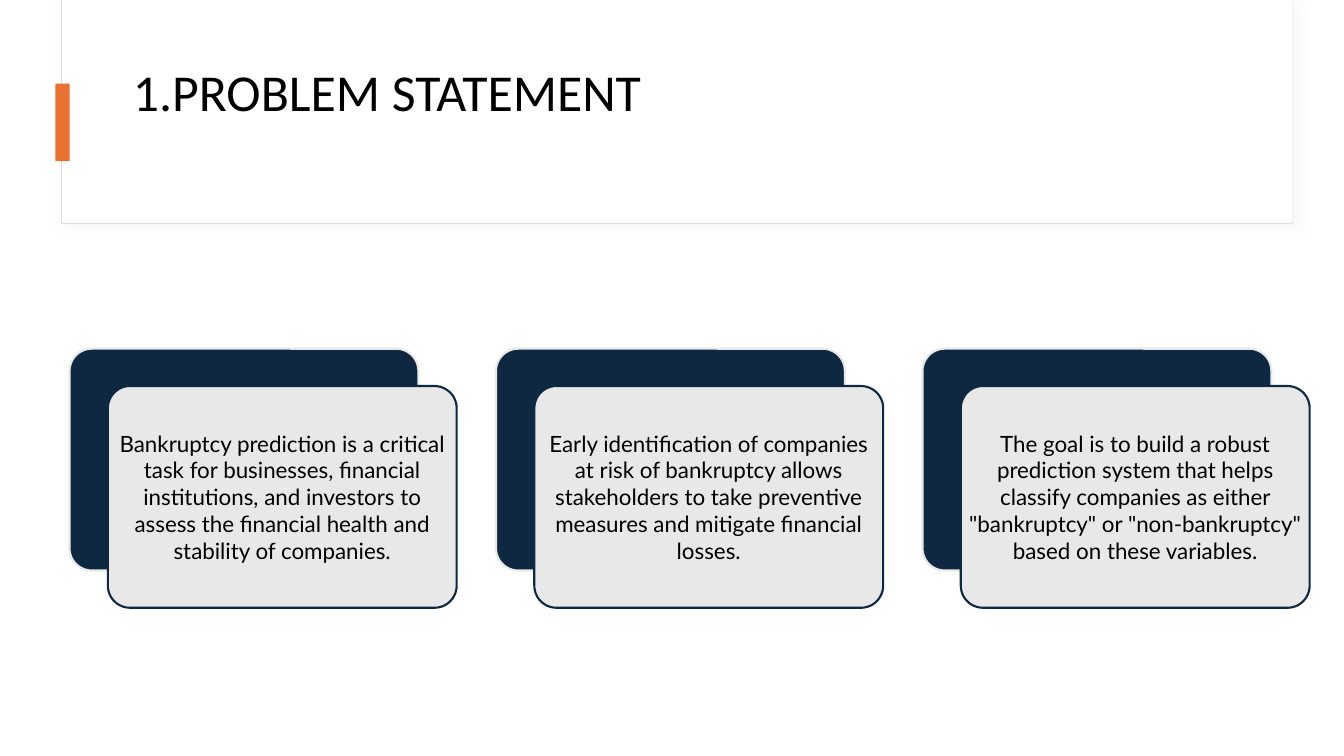
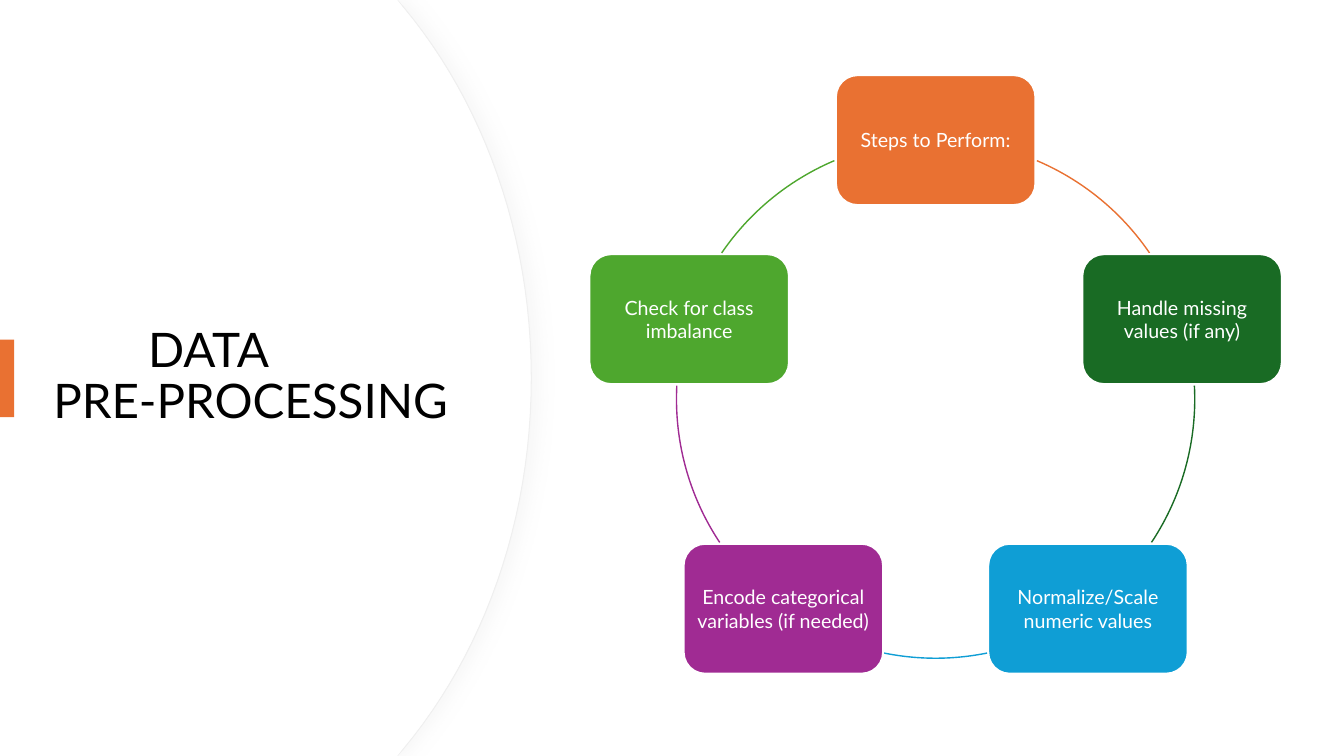
import math

from lxml import etree
from pptx import Presentation
from pptx.dml.color import RGBColor
from pptx.enum import shapes, text
from pptx.oxml.ns import qn
from pptx.util import Inches, Pt

WHITE = RGBColor(0xFF, 0xFF, 0xFF)
BLACK = RGBColor(0, 0, 0)
NAVY = RGBColor(0x0E, 0x28, 0x41)
GREY = RGBColor(0xE8, 0xE8, 0xE8)
BAND_EDGE = RGBColor(0xDE, 0xDE, 0xDE)
PANEL_EDGE = RGBColor(0xEF, 0xEF, 0xEF)
ORANGE = RGBColor(0xE9, 0x71, 0x32)
FOREST = RGBColor(0x19, 0x6B, 0x24)
BLUE = RGBColor(0x0F, 0x9E, 0xD5)
PURPLE = RGBColor(0xA0, 0x2B, 0x93)
GREEN = RGBColor(0x4E, 0xA7, 0x2E)
SHADOW, SHADOW_ALPHA = "D9D9D9", "20000"

SHAPE = shapes.MSO_SHAPE
BODY_FONT = "Lato"

PROBLEM_TITLE = "1.PROBLEM STATEMENT"
PROBLEM_CARDS = [
    "Bankruptcy prediction is a critical task for businesses, financial institutions, "
    "and investors to assess the financial health and stability of companies.",
    "Early identification of companies at risk of bankruptcy allows stakeholders "
    "to take preventive measures and mitigate financial losses.",
    "The goal is to build a robust prediction system that helps classify companies "
    'as either "bankruptcy" or "non-bankruptcy" based on these variables.',
]
CARD_SIZE = (3.46, 2.2)
CARD_LEFT, CARD_TOP, CARD_STEP = 0.69, 3.46, 4.23
CARD_SHIFT = (0.38, 0.37)

STEPS_TITLE = "DATA\vPRE-PROCESSING"
# Label, colour, and the start and end of the arc to the next step in degrees
STEPS = [
    ("Steps to Perform:", ORANGE, 293, 325.65),
    ("Handle missing values (if any)", FOREST, 357.02, 33.58),
    ("Normalize/Scale numeric values", BLUE, 78.55, 101.45),
    ("Encode categorical variables (if needed)", PURPLE, 146.42, 182.98),
    ("Check for class imbalance", GREEN, 214.35, 247),
]
STEP_SIZE = (1.98, 1.29)
RING_X, RING_Y, RING_RADIUS = 9.28, 3.96, 2.57
ARC_UNITS_PER_DEGREE = 0.6

# Right edge of the panel as two Bezier curves
PANEL_CURVES = [
    [(4, 0.08), (4.78, 1.02), (5.26, 2.32), (5.26, 3.75)],
    [(5.26, 3.75), (5.26, 5.18), (4.78, 6.48), (4, 7.42)],
]
CURVE_PIECES = 24


def paint(shape, fill=None, line=None, line_width=0.75):
    shape.shadow.inherit = False
    if fill is None:
        shape.fill.background()
    else:
        shape.fill.solid()
        shape.fill.fore_color.rgb = fill
    if line is None:
        shape.line.fill.background()
    else:
        shape.line.color.rgb = line
        shape.line.width = Pt(line_width)
    return shape


def add_box(page, kind, place, **look):
    return paint(page.shapes.add_shape(kind, *map(Inches, place)), **look)


def cast_shadow(shape, blur, distance, degrees):
    effects = shape._element.spPr.find(qn("a:effectLst"))
    shadow = etree.SubElement(
        effects, qn("a:outerShdw"), blurRad=str(Pt(blur)), dist=str(Pt(distance)),
        dir=str(degrees * 60000), algn="tl", rotWithShape="0")
    colour = etree.SubElement(shadow, qn("a:srgbClr"), val=SHADOW)
    etree.SubElement(colour, qn("a:alpha"), val=SHADOW_ALPHA)


def write(shape, words, size, colour, font=BODY_FONT, inset=0.1,
          align=text.PP_ALIGN.CENTER, spacing=1.0):
    frame = shape.text_frame
    margins = ("margin_left", "margin_top", "margin_right", "margin_bottom")
    layout = dict.fromkeys(margins, Inches(inset))
    layout |= {"word_wrap": True, "vertical_anchor": text.MSO_ANCHOR.MIDDLE}
    for name, value in layout.items():
        setattr(frame, name, value)
    para = frame.paragraphs[0]
    para.text = words
    para.alignment = align
    para.line_spacing = spacing
    for span in para.runs:
        for name, value in {"name": font, "size": Pt(size)}.items():
            setattr(span.font, name, value)
        span.font.color.rgb = colour
    return para


def add_title(page, words, place, size, font):
    box = page.shapes.add_textbox(*map(Inches, place))
    return write(box, words, size, BLACK, font,
                 align=text.PP_ALIGN.LEFT, spacing=0.9)


def add_accent(page, left, top):
    add_box(page, SHAPE.RECTANGLE, (left, top, 0.14, 0.77), fill=ORANGE)


def curve_points(start, pull_a, pull_b, end):
    """Sample a cubic Bezier curve at equal steps."""
    for piece in range(CURVE_PIECES + 1):
        t = piece / CURVE_PIECES
        weights = ((1 - t) ** 3, 3 * t * (1 - t) ** 2, 3 * t ** 2 * (1 - t), t ** 3)
        corners = (start, pull_a, pull_b, end)
        yield tuple(sum(w * c[axis] for w, c in zip(weights, corners))
                    for axis in (0, 1))


def add_panel(page, bulge=0, **look):
    """Add the round-edged panel, its curve moved right by bulge inches."""
    outline = [(3.94, 0)]
    for curve in PANEL_CURVES:
        outline += [(x + bulge, y) for x, y in curve_points(*curve)]
    outline += [(3.94, 7.5), (0, 7.5)]
    builder = page.shapes.build_freeform(0, 0)
    builder.add_line_segments([(Inches(x), Inches(y)) for x, y in outline], close=True)
    return paint(builder.convert_to_shape(), fill=WHITE, **look)


def build_problem(page):
    band = add_box(page, SHAPE.RECTANGLE, (0.61, 0.01, 12.21, 2.21),
                   fill=WHITE, line=BAND_EDGE)
    cast_shadow(band, 8, 4, 45)
    add_box(page, SHAPE.RECTANGLE, (0.62, 0, 12.2, 2.2), fill=WHITE)
    add_title(page, PROBLEM_TITLE, (1.22, 0.57, 11.12, 0.73), 37, "Calibri")
    add_accent(page, 0.55, 0.83)

    for index, words in enumerate(PROBLEM_CARDS):
        left = CARD_LEFT + index * CARD_STEP
        back = add_box(page, SHAPE.ROUNDED_RECTANGLE, (left, CARD_TOP, *CARD_SIZE),
                       fill=NAVY, line=GREY, line_width=1.5)
        front = add_box(page, SHAPE.ROUNDED_RECTANGLE,
                        (left + CARD_SHIFT[0], CARD_TOP + CARD_SHIFT[1], *CARD_SIZE),
                        fill=GREY, line=NAVY, line_width=1.5)
        for card in (back, front):
            card.adjustments[0] = 0.1
        write(front, words, 16, BLACK, inset=0.01)


def build_steps(page):
    cast_shadow(add_panel(page, bulge=0.01, line=PANEL_EDGE), 12, 5, 0)
    add_panel(page)
    title = add_title(page, STEPS_TITLE, (0.34, 1.27, 4.94, 4.95), 34, BODY_FONT)
    indents = title._p.get_or_add_pPr()
    indents.set("marL", str(Inches(0.09)))
    indents.set("indent", str(Inches(0.94)))
    add_accent(page, 0, 3.37)

    width, height = STEP_SIZE
    ring = (RING_X - RING_RADIUS, RING_Y - RING_RADIUS, 2 * RING_RADIUS, 2 * RING_RADIUS)
    for index, (label, colour, start, end) in enumerate(STEPS):
        angle = math.radians(index * 360 / len(STEPS) - 90)
        x = RING_X + RING_RADIUS * math.cos(angle)
        y = RING_Y + RING_RADIUS * math.sin(angle)
        step = add_box(page, SHAPE.ROUNDED_RECTANGLE,
                       (x - width / 2, y - height / 2, width, height),
                       fill=colour, line=WHITE, line_width=1.5)
        write(step, label, 14, WHITE, inset=0.06)
        arc = add_box(page, SHAPE.ARC, ring, line=colour, line_width=1)
        for side, degrees in enumerate((start, end)):
            arc.adjustments[side] = degrees * ARC_UNITS_PER_DEGREE


def main():
    deck = Presentation()
    deck.slide_width, deck.slide_height = Inches(13.33), Inches(7.5)
    for build in (build_problem, build_steps):
        build(deck.slides.add_slide(deck.slide_layouts[6]))
    deck.save("out.pptx")


if __name__ == "__main__":
    main()
